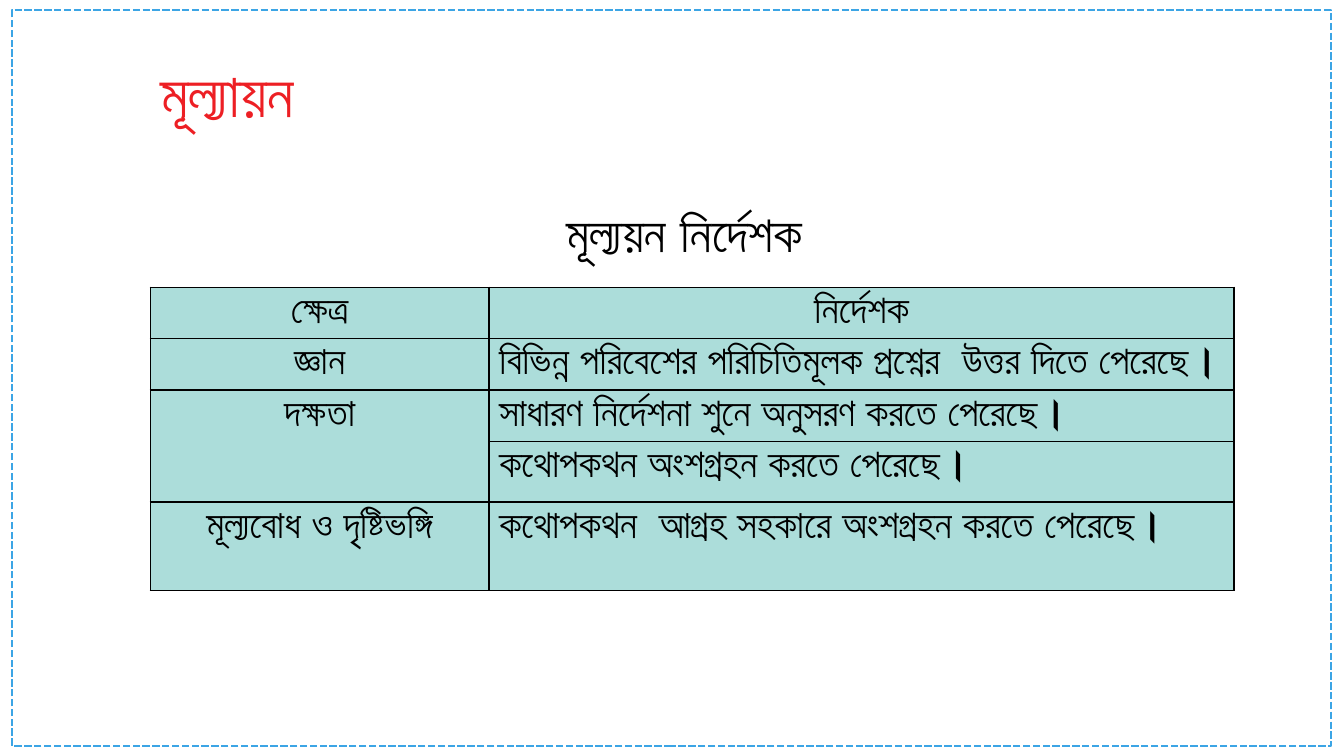
from lxml import etree
from pptx import Presentation
from pptx.dml.color import RGBColor
from pptx.enum.dml import MSO_LINE
from pptx.enum.shapes import MSO_SHAPE
from pptx.enum.text import MSO_AUTO_SIZE, PP_ALIGN
from pptx.oxml.ns import qn
from pptx.util import Inches, Pt

RECTANGLE = MSO_SHAPE.RECTANGLE
SHORT_DASH = MSO_LINE.SQUARE_DOT
GROW = MSO_AUTO_SIZE.SHAPE_TO_FIT_TEXT
LEFT, CENTER = PP_ALIGN.LEFT, PP_ALIGN.CENTER


def color(value):
    return RGBColor.from_string(value)


class SlideBuilder:
    FONT = "Roboto"
    BLACK = "000000"
    RED = "ED1F24"
    BLUE = "3CA5E5"
    TEAL = "ACDDDA"

    def __init__(self, slide):
        self.slide = slide

    def box(self, left, top, width, height):
        return [Inches(value) for value in (left, top, width, height)]

    def format_text(self, text_frame, size, font_color, align=LEFT):
        for paragraph in text_frame.paragraphs:
            paragraph.alignment = align
            for run in paragraph.runs:
                run.font.name = self.FONT
                run.font.size = Pt(size)
                run.font.bold = True
                run.font.color.rgb = color(font_color)

    def frame(self, left, top, width, height):
        shape = self.slide.shapes.add_shape(RECTANGLE, *self.box(left, top, width, height))
        shape.shadow.inherit = False
        shape.fill.background()
        shape.line.color.rgb = color(self.BLUE)
        shape.line.width = Pt(1.75)
        shape.line.dash_style = SHORT_DASH

    def text(self, text, left, top, width, height, size, font_color, wrap=True):
        shape = self.slide.shapes.add_textbox(*self.box(left, top, width, height))
        text_frame = shape.text_frame
        text_frame.word_wrap = wrap
        text_frame.auto_size = GROW
        text_frame.text = text
        self.format_text(text_frame, size, font_color)

    def cell_borders(self, cell):
        properties = cell._tc.get_or_add_tcPr()
        for side in ("a:lnL", "a:lnR", "a:lnT", "a:lnB"):
            line = etree.SubElement(properties, qn(side), w=str(Pt(1)))
            fill = etree.SubElement(line, qn("a:solidFill"))
            etree.SubElement(fill, qn("a:srgbClr"), val=self.BLACK)

    def table(self, rows, left, top, widths, heights, size):
        area = self.box(left, top, sum(widths), sum(heights))
        table = self.slide.shapes.add_table(len(rows), len(widths), *area).table
        for column, width in zip(table.columns, widths):
            column.width = Inches(width)
        for row, height in zip(table.rows, heights):
            row.height = Inches(height)
        for row_index, texts in enumerate(rows):
            for column_index, text in enumerate(texts):
                cell = table.cell(row_index, column_index)
                self.cell_borders(cell)
                cell.fill.solid()
                cell.fill.fore_color.rgb = color(self.TEAL)
                cell.text_frame.text = text
                centered = row_index == 0 or column_index == 0
                self.format_text(cell.text_frame, size, self.BLACK, CENTER if centered else LEFT)
        return table


def main():
    presentation = Presentation()
    presentation.slide_width = Inches(13.33)
    presentation.slide_height = Inches(7.5)
    slide = presentation.slides.add_slide(presentation.slide_layouts[6])
    builder = SlideBuilder(slide)

    # Dashed frame
    builder.frame(0.12, 0.1, 13.08, 7.3)

    # Assessment table
    rows = [
        ("ক্ষেত্র", "নির্দেশক"),
        ("জ্ঞান", "বিভিন্ন পরিবেশের পরিচিতিমূলক প্রশ্নের  উত্তর দিতে পেরেছে।"),
        ("দক্ষতা", "সাধারণ নির্দেশনা শুনে অনুসরণ করতে পেরেছে।"),
        ("", "কথোপকথন অংশগ্রহন করতে পেরেছে।"),
        ("মূল্যবোধ ও দৃষ্টিভঙ্গি", "কথোপকথন  আগ্রহ সহকারে অংশগ্রহন করতে পেরেছে।"),
    ]
    table = builder.table(rows, 1.49, 2.85, [3.36, 7.39], [0.51, 0.51, 0.51, 0.6, 0.88], 28)
    table.cell(2, 0).merge(table.cell(3, 0))

    # Headings
    builder.text("মূল্যয়ন নির্দেশক", 5.52, 1.96, 2.7, 0.71, 36, builder.BLACK, wrap=False)
    builder.text("মূল্যায়ন", 1.49, 0.51, 2.99, 0.84, 44, builder.RED)

    presentation.save("out.pptx")


if __name__ == "__main__":
    main()
